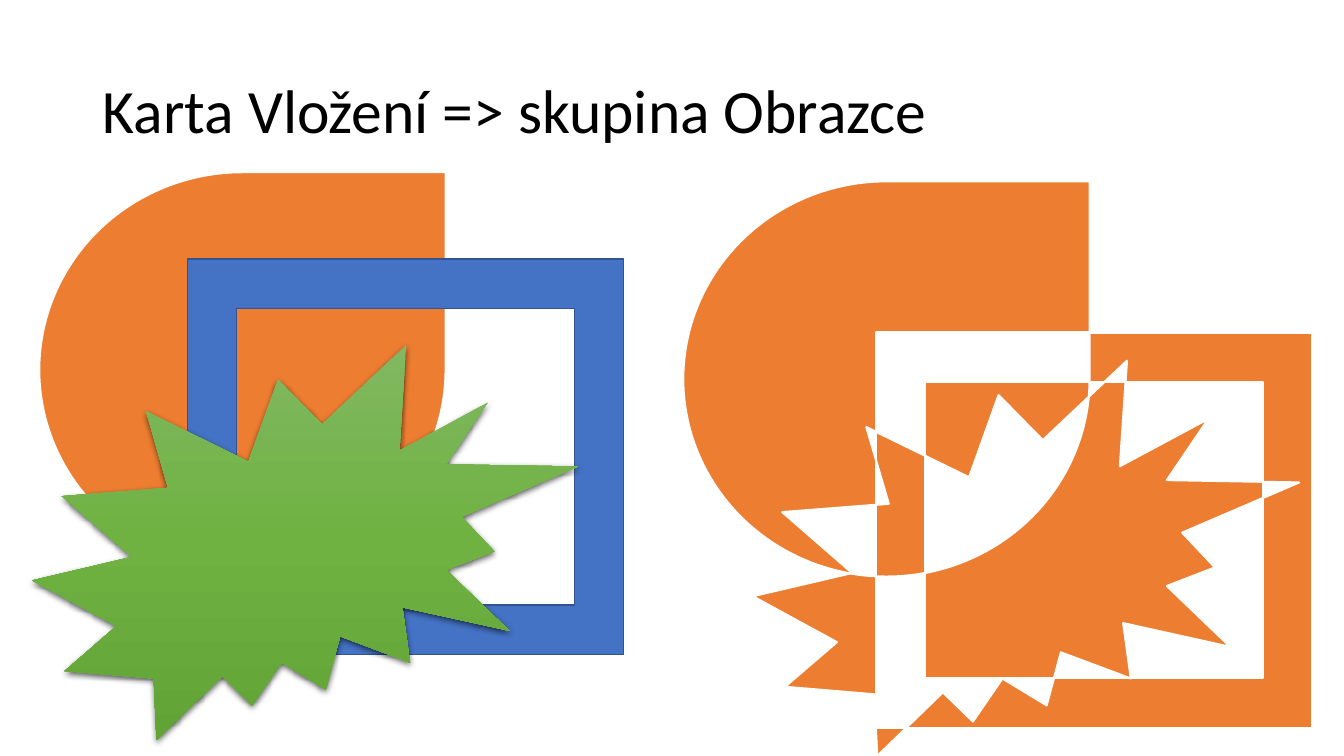
"""Build a slide that shows three overlapping shapes and the same three combined into one."""
from copy import deepcopy
from dataclasses import dataclass
from math import cos, radians, sin

from lxml.etree import SubElement
from pptx import Presentation
from pptx.dml.color import RGBColor
from pptx.enum.shapes import MSO_SHAPE as Shape
from pptx.enum.text import MSO_ANCHOR as Anchor, PP_ALIGN as Align
from pptx.oxml.ns import qn
from pptx.util import Cm, Pt


@dataclass(frozen=True)
class Theme:
    font: str = "Calibri"
    title_size: int = 44
    text: RGBColor = RGBColor(0, 0, 0)
    orange: RGBColor = RGBColor(0xED, 0x7D, 0x31)
    blue: RGBColor = RGBColor(0x44, 0x72, 0xC4)
    blue_edge: RGBColor = RGBColor(0x32, 0x54, 0x91)
    white: RGBColor = RGBColor(255, 255, 255)
    greens: tuple = ("81B861", "6FB242", "62A336")


theme = Theme()


def write(box, text, size, color, align=Align.LEFT, anchor=Anchor.MIDDLE, spacing=0.9):
    """Put one formatted paragraph into a box."""
    text_frame = box.text_frame
    text_frame.word_wrap = True
    text_frame.vertical_anchor = anchor
    para = text_frame.paragraphs[0]
    para.alignment = align
    para.line_spacing = spacing
    span = para.add_run()
    span.text = text
    span.font.name = theme.font
    span.font.size = Pt(size)
    span.font.color.rgb = color


def rectangle(inset_x=0, inset_y=0):
    """Return the corners of a unit square, moved inwards by the insets."""
    left, top, right, bottom = inset_x, inset_y, 1 - inset_x, 1 - inset_y
    return [(left, top), (right, top), (right, bottom), (left, bottom)]


deck = Presentation()
deck.slide_width, deck.slide_height = Cm(33.87), Cm(19.05)
page = deck.slides.add_slide(deck.slide_layouts[5])

title = page.shapes.title
title.left, title.top, title.width, title.height = Cm(2.34), Cm(1.02), Cm(29.21), Cm(3.68)
write(title, "Karta Vložení => skupina Obrazce", size=theme.title_size, color=theme.text)

height = 9.96
drop_width, frame_width, burst_width = 10.24, 11, 13.77

round_side = [radians(angle) for angle in range(0, 271, 2)]
drop_outline = [(0.5 + cos(angle) / 2, 0.5 + sin(angle) / 2) for angle in round_side]
drop_outline.append((1, 0))

border = 0.125
frame_outer = rectangle()
frame_inner = rectangle(border * height / frame_width, border)

burst_grid = 1000
burst_notches = [(531, 201), (396, 295), (249, 362), (182, 537), (154, 712), (222, 844), (348, 839),
                 (457, 804), (564, 738), (678, 664), (758, 570), (786, 435), (758, 302), (672, 267)]
burst_tips = [(450, 87), (208, 168), (54, 383), (0, 596), (59, 825), (228, 1000), (403, 913),
              (538, 872), (692, 804), (874, 724), (846, 523), (1000, 308), (834, 147), (685, 0)]
burst_outline = [
    (x / burst_grid, y / burst_grid)
    for notch_and_tip in zip(burst_notches, burst_tips)
    for x, y in notch_and_tip
]

units_per_cm = 1000
contours = [
    [((left + x * width) * units_per_cm, (top + y * height) * units_per_cm) for x, y in outline]
    for outline, left, top, width in (
        (drop_outline, 17.22, 4.57, drop_width),
        (frame_outer, 22.07, 8.38, frame_width),
        (frame_inner, 22.07, 8.38, frame_width),
        (burst_outline, 18.97, 9.09, burst_width),
    )
]
builder = page.shapes.build_freeform(*contours[0][0], scale=Cm(1) / units_per_cm)
for contour in contours:
    builder.move_to(*contour[0])
    builder.add_line_segments(contour[1:], close=True)
combined = builder.convert_to_shape()

teardrop, frame, burst = [
    page.shapes.add_shape(kind, Cm(left), Cm(top), Cm(width), Cm(height))
    for kind, left, top, width in (
        (Shape.TEAR, 0.99, 4.34, drop_width),
        (Shape.FRAME, 4.72, 6.53, frame_width),
        (Shape.EXPLOSION2, 0.81, 8.69, burst_width),
    )
]
for shape, fill, edge, line_width in (
    (combined, theme.orange, theme.white, 1.5),
    (teardrop, theme.orange, theme.white, 1.5),
    (frame, theme.blue, theme.blue_edge, 1),
):
    shape.shadow.inherit = False
    shape.fill.solid()
    shape.fill.fore_color.rgb = fill
    shape.line.color.rgb = edge
    shape.line.width = Pt(line_width)

burst.line.fill.background()
burst.fill.gradient()
burst.fill.gradient_angle = 270
properties = burst._element.spPr
stop_list = properties.find(qn("a:gradFill")).find(qn("a:gsLst"))
stop_list.append(deepcopy(stop_list[0]))
for index, stop in enumerate(burst.fill.gradient_stops):
    stop.position = index / 2
    stop.color.rgb = RGBColor.from_string(theme.greens[index])

burst.shadow.inherit = False
shadow = SubElement(
    properties.find(qn("a:effectLst")), qn("a:outerShdw"),
    blurRad=str(Pt(4.5)), dist=str(Pt(1.5)), dir="5400000", algn="ctr", rotWithShape="0",
)
shade = SubElement(shadow, qn("a:srgbClr"), val=str(theme.text))
SubElement(shade, qn("a:alpha"), val="63000")

deck.save("out.pptx")
